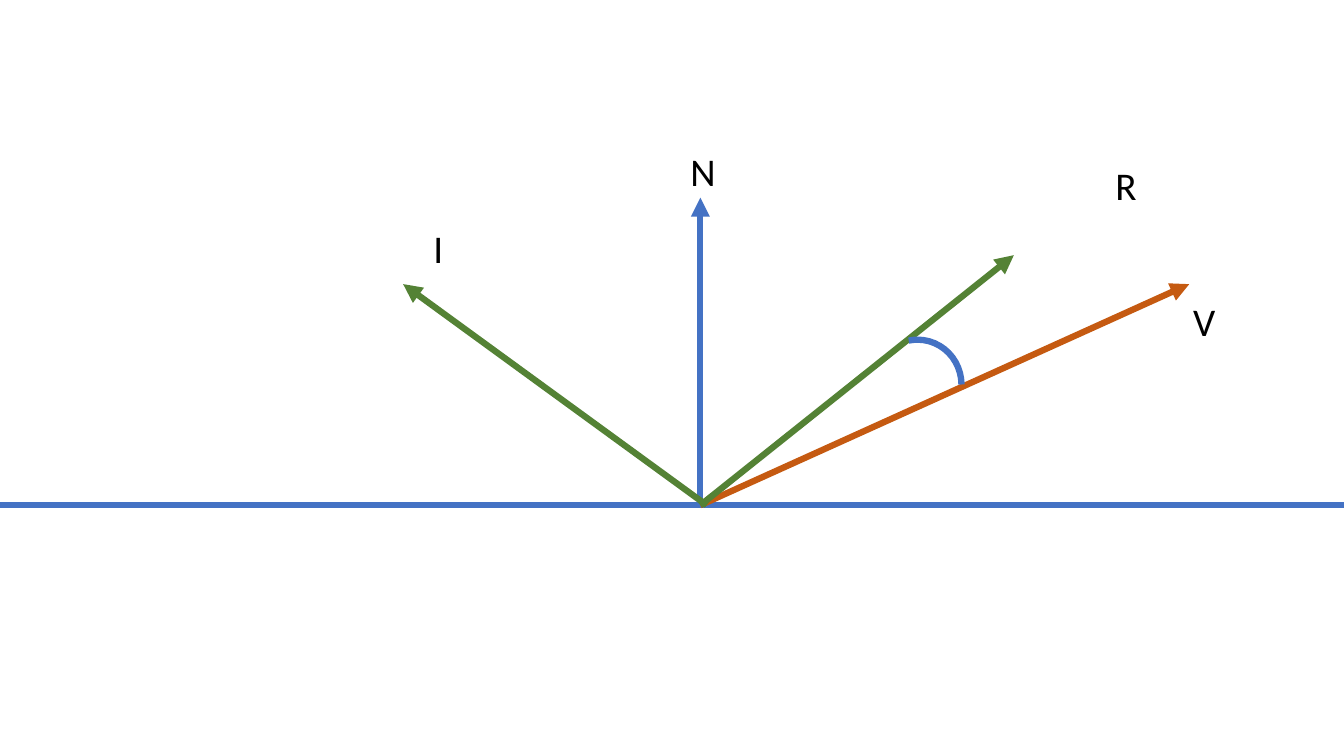
from lxml import etree
from pptx import Presentation
from pptx.dml.color import RGBColor
from pptx.enum import shapes, text
from pptx.oxml.ns import qn
from pptx.util import Cm, Pt

BLUE = RGBColor(0x44, 0x72, 0xC4)
ORANGE = RGBColor(0xC5, 0x5A, 0x11)
GREEN = RGBColor(0x54, 0x82, 0x35)
BLACK = RGBColor(0, 0, 0)

WIDTH, HEIGHT = 33.87, 19.05
SURFACE_Y = 12.73
ORIGIN_X = 17.65
LINE_WIDTH = 4.5
LABEL_SIZE = (2.51, 1.45)
ANGLE_ARC = (22.02, 8.56, 2.21, 2.26)
ARC_START = 155.17

VECTORS = [
    {"name": "N", "start": ORIGIN_X, "tip": (ORIGIN_X, 4.98), "label": (17.15, 3.58), "color": BLUE},
    {"name": "V", "start": ORIGIN_X, "tip": (29.97, 7.16), "label": (29.82, 7.37), "color": ORANGE},
    {"name": "I", "start": 17.81, "tip": (10.16, 7.16), "label": (10.67, 5.54), "color": GREEN},
    {"name": "R", "start": ORIGIN_X, "tip": (25.55, 6.43), "label": (27.86, 3.94), "color": GREEN},
]


def add_line(s, start, end, color, arrow=False):
    points = [Cm(v) for v in (*start, *end)]
    line = s.shapes.add_connector(shapes.MSO_CONNECTOR.STRAIGHT, *points)
    line.line.color.rgb = color
    line.line.width = Pt(LINE_WIDTH)
    if arrow:
        etree.SubElement(line.line._get_or_add_ln(), qn("a:tailEnd"), type="triangle")
    etree.SubElement(line._element.spPr, qn("a:effectLst"))


def add_text(s, content, left, top, size=28, font="Calibri", color=BLACK):
    sp = s.shapes.add_textbox(*[Cm(v) for v in (left, top, *LABEL_SIZE)])
    tf = sp.text_frame
    tf.word_wrap = True
    tf.auto_size = text.MSO_AUTO_SIZE.SHAPE_TO_FIT_TEXT
    r = tf.paragraphs[0].add_run()
    r.text = content
    r.font.name = font
    r.font.size = Pt(size)
    r.font.color.rgb = color


def add_angle(s):
    sp = s.shapes.add_shape(shapes.MSO_SHAPE.ARC, *[Cm(v) for v in ANGLE_ARC])
    sp.adjustments[0] = ARC_START
    sp.adjustments[1] = 0
    sp.shadow.inherit = False
    sp.fill.background()
    sp.line.color.rgb = BLUE
    sp.line.width = Pt(LINE_WIDTH)


def main():
    prs = Presentation()
    prs.slide_width, prs.slide_height = Cm(WIDTH), Cm(HEIGHT)
    s = prs.slides.add_slide(prs.slide_layouts[6])
    add_line(s, (0, SURFACE_Y), (WIDTH, SURFACE_Y), BLUE)
    for v in VECTORS:
        add_line(s, (v["start"], SURFACE_Y), v["tip"], v["color"], arrow=True)
    add_angle(s)
    for v in VECTORS:
        add_text(s, v["name"], *v["label"])
    prs.save("out.pptx")


if __name__ == "__main__":
    main()
